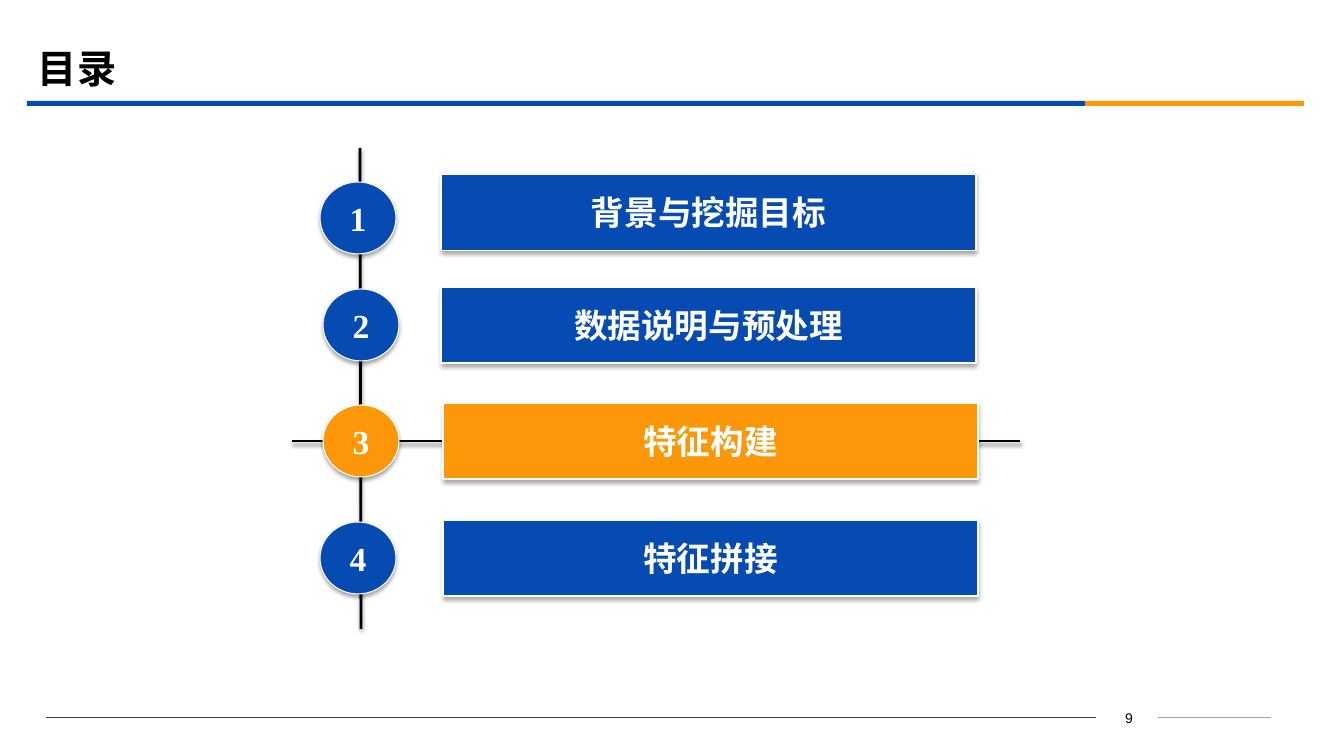
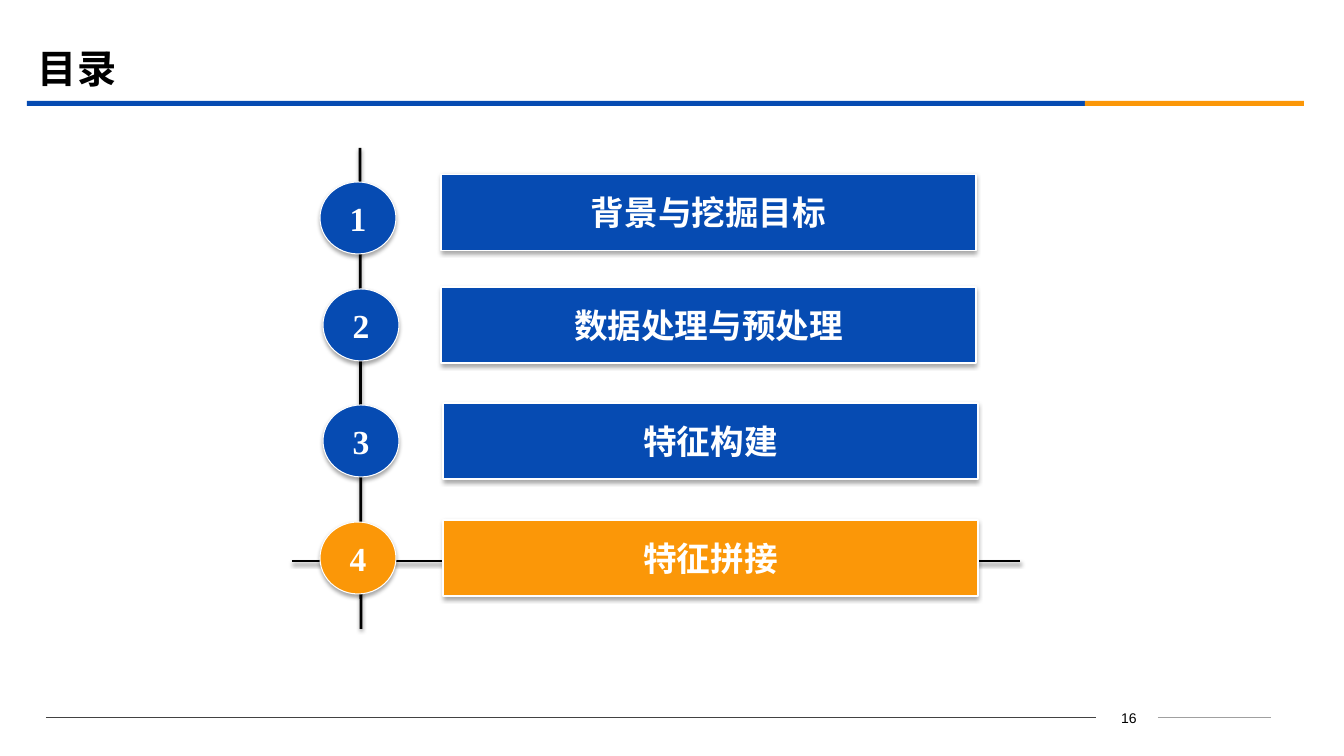
from lxml import etree
from pptx import Presentation
from pptx import util as u
from pptx.dml.color import RGBColor
from pptx.enum import shapes, text
from pptx.oxml import ns

BLUE = RGBColor(0x06, 0x4B, 0xB2)
ORANGE = RGBColor(0xFB, 0x97, 0x08)
BLACK = RGBColor(0x00, 0x00, 0x00)
WHITE = RGBColor(0xFF, 0xFF, 0xFF)
GRAY = RGBColor(0x7F, 0x7F, 0x7F)
FOOTER_DARK = RGBColor(0x42, 0x42, 0x42)
FOOTER_LIGHT = RGBColor(0xA0, 0xA0, 0xA0)

CJK_FONT = "Noto Sans CJK SC"
NUMBER_FONT = "Times New Roman"
PAGE_FONT = "Arial"

EMU_PER_PX = 914400 / 100.8
SLIDE_WIDTH, SLIDE_HEIGHT = 1344, 756
CIRCLE_SIZE = (76, 72)
BOX_SIZE = (535, 76)
ROWS = [
    ((320, 182), (441, 174)),
    ((323, 289), (441, 287)),
    ((323, 405), (443, 403)),
    ((320, 522), (443, 520)),
]
AGENDAS = [
    (9, ["背景与挖掘目标", "数据说明与预处理", "特征构建", "特征拼接"], 3, 441),
    (16, ["背景与挖掘目标", "数据处理与预处理", "特征构建", "特征拼接"], 4, 561),
]


def px(length):
    return u.Emu(round(length * EMU_PER_PX))


class Deck:
    def __init__(self):
        self.presentation = Presentation()
        self.presentation.slide_width = px(SLIDE_WIDTH)
        self.presentation.slide_height = px(SLIDE_HEIGHT)
        self.slide = None

    def add_slide(self, title, page):
        self.slide = self.presentation.slides.add_slide(self.presentation.slide_layouts[6])
        self.footer(page)
        self.band(27, 1058, BLUE)
        self.band(1085, 219, ORANGE)
        title_box = self.text_box(28, 39, 1210, 58, text.MSO_ANCHOR.MIDDLE)
        self.run(title_box.text_frame.paragraphs[0], title, 28, CJK_FONT, BLACK, True)

    def run(self, paragraph, words, size, font, color, bold=False):
        run = paragraph.add_run()
        run.text = words
        run.font.size = u.Pt(size)
        run.font.name = font
        run.font.bold = bold
        run.font.color.rgb = color
        east_asian = etree.SubElement(run.font._element, ns.qn("a:ea"))
        east_asian.set("typeface", CJK_FONT)

    def text_box(self, left, top, width, height, anchor=text.MSO_ANCHOR.TOP):
        box = self.slide.shapes.add_textbox(px(left), px(top), px(width), px(height))
        box.text_frame.word_wrap = True
        box.text_frame.vertical_anchor = anchor
        return box

    def shadow(self, shape, alpha=None, distance=0):
        properties = shape._element.spPr
        effects = properties.find(ns.qn("a:effectLst"))
        if effects is None:
            effects = etree.SubElement(properties, ns.qn("a:effectLst"))
        if alpha is None:
            return
        outer = etree.SubElement(effects, ns.qn("a:outerShdw"), blurRad=str(u.Pt(3.1)),
                                 dist=str(u.Pt(distance)), dir="5400000", rotWithShape="0")
        color = etree.SubElement(outer, ns.qn("a:srgbClr"), val=str(BLACK))
        etree.SubElement(color, ns.qn("a:alpha"), val=str(alpha * 1000))

    def line(self, start, end, color, width):
        connector = self.slide.shapes.add_connector(
            shapes.MSO_CONNECTOR.STRAIGHT, *map(px, start + end))
        connector.line.color.rgb = color
        connector.line.width = u.Pt(width)
        return connector

    def axis(self, start, end):
        self.shadow(self.line(start, end, BLACK, 2), 38, 1.6)

    def shape(self, kind, position, size, fill):
        shape = self.slide.shapes.add_shape(kind, *map(px, position + size))
        shape.shadow.inherit = False
        shape.fill.solid()
        shape.fill.fore_color.rgb = fill
        shape.line.fill.background()
        return shape

    def band(self, left, width, color):
        self.shape(shapes.MSO_SHAPE.RECTANGLE, (left, 101), (width, 5), color)

    def label(self, kind, position, size, fill, words):
        shape = self.shape(kind, position, size, fill)
        shape.line.color.rgb = WHITE
        shape.line.width = u.Pt(0.75)
        self.shadow(shape, 35, 1.8)
        frame = shape.text_frame
        frame.word_wrap = False
        frame.vertical_anchor = text.MSO_ANCHOR.MIDDLE
        paragraph = frame.paragraphs[0]
        paragraph.alignment = text.PP_ALIGN.CENTER
        self.run(paragraph, words, 24, NUMBER_FONT, WHITE, True)

    def footer(self, page):
        page_box = self.text_box(1096, 705, 62, 26)
        paragraph = page_box.text_frame.paragraphs[0]
        paragraph.alignment = text.PP_ALIGN.CENTER
        self.run(paragraph, " ", 10, PAGE_FONT, GRAY)
        self.run(paragraph, str(page), 10, PAGE_FONT, BLACK)
        right_rule = self.line((1158, 718), (1271, 718), FOOTER_LIGHT, 0.75)
        right_rule.begin_connect(page_box, 3)
        left_rule = self.line((46, 718), (1096, 718), FOOTER_DARK, 0.75)
        left_rule.end_connect(page_box, 1)
        for rule in (right_rule, left_rule):
            self.shadow(rule)

    def agenda(self, topics, current, marker_top):
        self.axis((360, 148), (361, 629))
        self.axis((292, marker_top), (1020, marker_top))
        for number, (topic, (circle, box)) in enumerate(zip(topics, ROWS), 1):
            fill = ORANGE if number == current else BLUE
            self.label(shapes.MSO_SHAPE.OVAL, circle, CIRCLE_SIZE, fill, str(number))
            self.label(shapes.MSO_SHAPE.ACTION_BUTTON_CUSTOM, box, BOX_SIZE, fill, topic)


def main():
    deck = Deck()
    for page, topics, current, marker_top in AGENDAS:
        deck.add_slide("目录", page)
        deck.agenda(topics, current, marker_top)
    deck.presentation.save("out.pptx")


if __name__ == "__main__":
    main()
